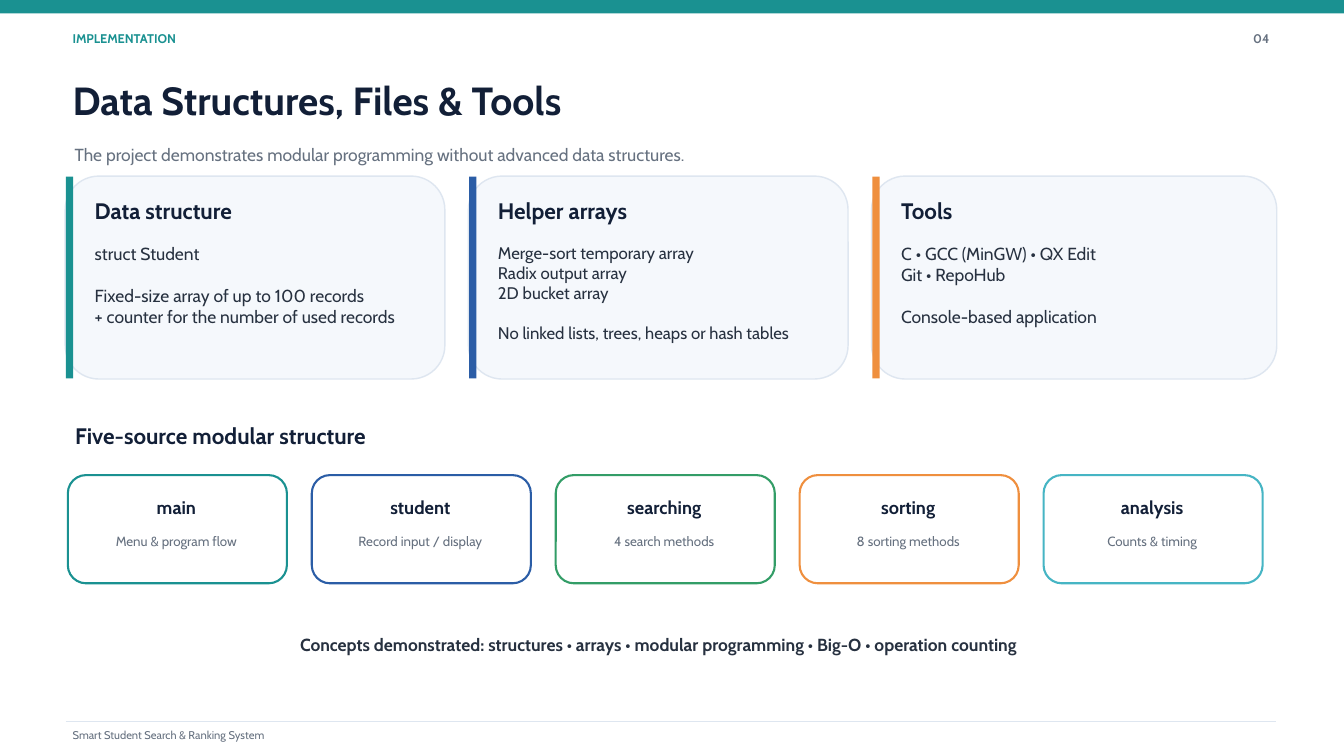
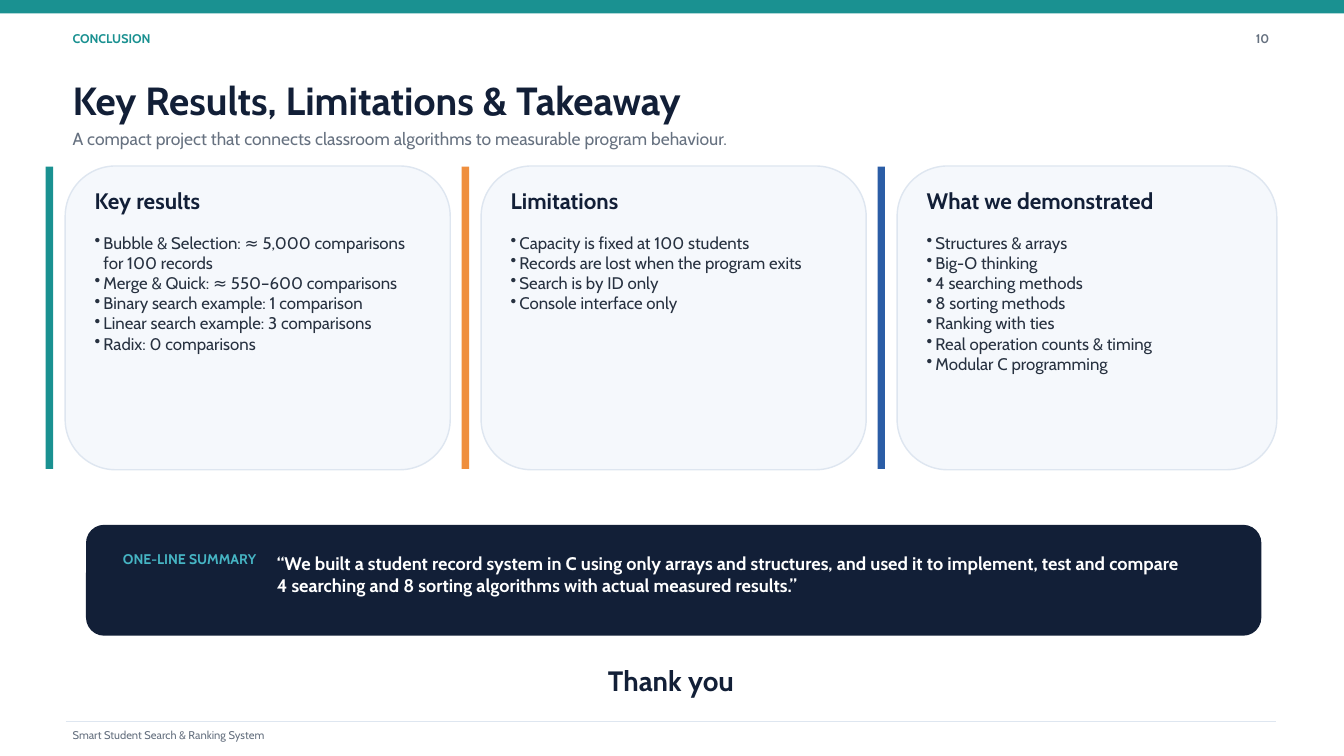
from lxml.etree import SubElement
from pptx import Presentation
from pptx.dml.color import RGBColor
from pptx.enum.shapes import MSO_CONNECTOR, MSO_SHAPE
from pptx.enum.text import MSO_ANCHOR, MSO_AUTO_SIZE, PP_ALIGN
from pptx.oxml.ns import qn
from pptx.util import Inches, Pt

FONT = "Cabin"
TEAL, BLUE, GREEN, ORANGE, CYAN = "1A9191", "2B5DA6", "339D67", "EF8F3E", "46B5C4"
NAVY, INK, GREY, RULE, PALE, WHITE = "121F37", "273140", "667180", "DEE6F0", "F5F8FC", "FFFFFF"
TITLE_ONLY = 5
LINE_HEIGHT = 1.2
BULLET_HANG = 0.13
LEFT, RIGHT = 0.98, 18.99
FOOTER = "Smart Student Search & Ranking System"

STYLES = {
    "section": {"size": 13.5, "color": TEAL, "bold": True},
    "number": {"size": 13.5, "color": GREY, "bold": True},
    "title": {"size": 42, "color": NAVY, "bold": True},
    "subtitle": {"size": 18.75, "color": GREY},
    "heading": {"size": 24, "color": NAVY, "bold": True},
    "body": {"size": 18.75, "color": INK},
    "compact": {"size": 18, "color": INK},
    "concepts": {"size": 18.75, "color": INK, "bold": True},
    "module": {"size": 19.5, "color": NAVY, "bold": True},
    "caption": {"size": 14.25, "color": GREY},
    "label": {"size": 15, "color": CYAN, "bold": True},
    "quote": {"size": 19.5, "color": WHITE, "bold": True},
    "closing": {"size": 30, "color": NAVY, "bold": True},
    "footer": {"size": 12, "color": GREY},
}


def rgb(code):
    return RGBColor.from_string(code)


def add_bullet(para):
    properties = para._p.get_or_add_pPr()
    hang = Inches(BULLET_HANG)
    properties.set("marL", str(hang))
    properties.set("indent", str(-hang))
    SubElement(properties, qn("a:buChar")).set("char", "•")


def write(frame, groups, style, align=PP_ALIGN.LEFT, bullets=False):
    """Fill a frame with groups of lines, one line's height apart."""
    look = STYLES[style]
    line_height = Pt(look["size"] * LINE_HEIGHT)
    settings = {
        "word_wrap": True, "auto_size": MSO_AUTO_SIZE.NONE, "vertical_anchor": MSO_ANCHOR.TOP,
        "margin_left": 0, "margin_right": 0, "margin_top": 0, "margin_bottom": 0,
    }
    for name, value in settings.items():
        setattr(frame, name, value)
    lines = [(line, group > 0 and row == 0)
             for group, rows in enumerate(groups) for row, line in enumerate(rows)]
    for index, (line, starts_group) in enumerate(lines):
        para = frame.paragraphs[0] if index == 0 else frame.add_paragraph()
        para.alignment = align
        para.line_spacing = line_height
        para.space_before = line_height if starts_group else Pt(0)
        if bullets:
            add_bullet(para)
        span = para.add_run()
        span.text = line
        font = {"name": FONT, "size": Pt(look["size"]), "bold": look.get("bold", False)}
        for name, value in font.items():
            setattr(span.font, name, value)
        span.font.color.rgb = rgb(look["color"])


def add_text(page, box, text, style, **options):
    groups = [[text]] if isinstance(text, str) else text
    shape = page.shapes.add_textbox(*map(Inches, box))
    write(shape.text_frame, groups, style, **options)


def add_panel(page, box, fill, line=None, line_width=1.5, radius=0):
    kind = MSO_SHAPE.ROUNDED_RECTANGLE if radius else MSO_SHAPE.RECTANGLE
    shape = page.shapes.add_shape(kind, *map(Inches, box))
    shape.shadow.inherit = False
    if radius:
        shape.adjustments[0] = radius / min(box[2:])
    shape.fill.solid()
    shape.fill.fore_color.rgb = rgb(fill)
    if line:
        shape.line.color.rgb = rgb(line)
        shape.line.width = Pt(line_width)
    else:
        shape.line.fill.background()


def add_footer(page, top):
    ends = map(Inches, (LEFT, top, RIGHT, top))
    rule = page.shapes.add_connector(MSO_CONNECTOR.STRAIGHT, *ends)
    rule.line.color.rgb = rgb(RULE)
    rule.line.width = Pt(1)
    SubElement(rule._element.spPr, qn("a:effectLst"))
    add_text(page, (LEFT + 0.1, top + 0.11, 11.81, 0.2), FOOTER, "footer")


def add_page(deck, section, number, title, subtitle, subtitle_at):
    """Add a slide with the band, title, subtitle and footer that all slides share."""
    page = deck.slides.add_slide(deck.slide_layouts[TITLE_ONLY])
    page.background.fill.solid()
    page.background.fill.fore_color.rgb = rgb(WHITE)
    add_panel(page, (0, 0, 20, 0.2), TEAL)
    add_text(page, (1.08, 0.46, 6.71, 0.36), section, "section")
    add_text(page, (18.26, 0.46, 0.63, 0.36), number, "number", align=PP_ALIGN.RIGHT)
    heading = page.shapes.title
    for name, value in zip(("left", "top", "width", "height"), (1.08, 1.13, 17.81, 1.03)):
        setattr(heading, name, Inches(value))
    write(heading.text_frame, [[title]], "title")
    add_text(page, (*subtitle_at, 17.36, 0.62), subtitle, "subtitle")
    add_footer(page, 10.73)
    return page


def add_card(page, box, color, heading, groups, radius, stripe_shift, style, bullets=False):
    left, top, width, height = box
    add_panel(page, box, PALE, RULE, radius=radius)
    add_panel(page, (left + stripe_shift, top + 0.01, 0.11, height - 0.02), color)
    text_left, text_width = left + 0.44, width - 0.79
    add_text(page, (text_left, top + 0.31, text_width, 0.43), heading, "heading")
    add_text(page, (text_left, top + 0.99, text_width, height - 1.29), groups, style,
             bullets=bullets)


def add_module(page, box, color, name, caption):
    left, top, width, height = box
    add_panel(page, box, WHITE, color, line_width=2.25, radius=0.27)
    inner = width - 0.61
    add_text(page, (left + 0.29, top + 0.31, inner, 0.35), name, "module", align=PP_ALIGN.CENTER)
    add_text(page, (left + 0.29, top + 0.86, inner, 0.38), caption, "caption",
             align=PP_ALIGN.CENTER)


def add_summary(page, box, label, quote):
    left, top, width, height = box
    add_panel(page, box, NAVY, radius=0.27)
    add_text(page, (left + 0.55, top + 0.38, 2.43, 0.28), label, "label")
    add_text(page, (left + 2.84, top + 0.41, 13.54, 0.83), quote, "quote")


def build_implementation(deck):
    page = add_page(
        deck, "IMPLEMENTATION", "04", "Data Structures, Files & Tools",
        "The project demonstrates modular programming without advanced data structures.",
        (1.11, 2.15))
    cards = [
        (TEAL, 5.65, "body", "Data structure",
         [["struct Student"],
          ["Fixed-size array of up to 100 records", "+ counter for the number of used records"]]),
        (BLUE, 5.65, "compact", "Helper arrays",
         [["Merge-sort temporary array", "Radix output array", "2D bucket array"],
          ["No linked lists, trees, heaps or hash tables"]]),
        (ORANGE, 6.03, "body", "Tools",
         [["C • GCC (MinGW) • QX Edit", "Git • RepoHub"], ["Console-based application"]]),
    ]
    for column, (color, width, style, heading, groups) in enumerate(cards):
        add_card(page, (0.97 + 6 * column, 2.62, width, 3.02), color, heading, groups,
                 radius=0.5, stripe_shift=0.01, style=style)

    add_text(page, (1.12, 6.28, 6.1, 0.43), "Five-source modular structure", "heading")
    modules = [
        (TEAL, "main", "Menu & program flow"),
        (BLUE, "student", "Record input / display"),
        (GREEN, "searching", "4 search methods"),
        (ORANGE, "sorting", "8 sorting methods"),
        (CYAN, "analysis", "Counts & timing"),
    ]
    for column, module in enumerate(modules):
        add_module(page, (1.01 + 3.63 * column, 7.07, 3.26, 1.61), *module)
    add_text(page, (1.12, 9.43, 17.36, 0.43),
             "Concepts demonstrated: structures • arrays • modular programming • Big-O "
             "• operation counting", "concepts", align=PP_ALIGN.CENTER)


def build_conclusion(deck):
    page = add_page(
        deck, "CONCLUSION", "10", "Key Results, Limitations & Takeaway",
        "A compact project that connects classroom algorithms to measurable program behaviour.",
        (1.08, 1.91))
    cards = [
        (TEAL, 5.73, "Key results",
         ["Bubble & Selection: ≈ 5,000 comparisons for 100 records",
          "Merge & Quick: ≈ 550–600 comparisons",
          "Binary search example: 1 comparison",
          "Linear search example: 3 comparisons",
          "Radix: 0 comparisons"]),
        (ORANGE, 5.73, "Limitations",
         ["Capacity is fixed at 100 students",
          "Records are lost when the program exits",
          "Search is by ID only",
          "Console interface only"]),
        (BLUE, 5.65, "What we demonstrated",
         ["Structures & arrays", "Big-O thinking", "4 searching methods", "8 sorting methods",
          "Ranking with ties", "Real operation counts & timing", "Modular C programming"]),
    ]
    for column, (color, width, heading, points) in enumerate(cards):
        add_card(page, (0.97 + 6.19 * column, 2.47, width, 4.52), color, heading, [points],
                 radius=0.75, stripe_shift=-0.29, style="compact", bullets=True)
    add_summary(page, (1.28, 7.81, 17.49, 1.65), "ONE-LINE SUMMARY",
                "“We built a student record system in C using only arrays and structures, "
                "and used it to implement, test and compare 4 searching and 8 sorting "
                "algorithms with actual measured results.”")
    add_text(page, (8.06, 9.88, 3.85, 0.5), "Thank you", "closing", align=PP_ALIGN.CENTER)


def main():
    deck = Presentation()
    deck.slide_width = Inches(20)
    deck.slide_height = Inches(11.25)
    build_implementation(deck)
    build_conclusion(deck)
    deck.save("out.pptx")


if __name__ == "__main__":
    main()
